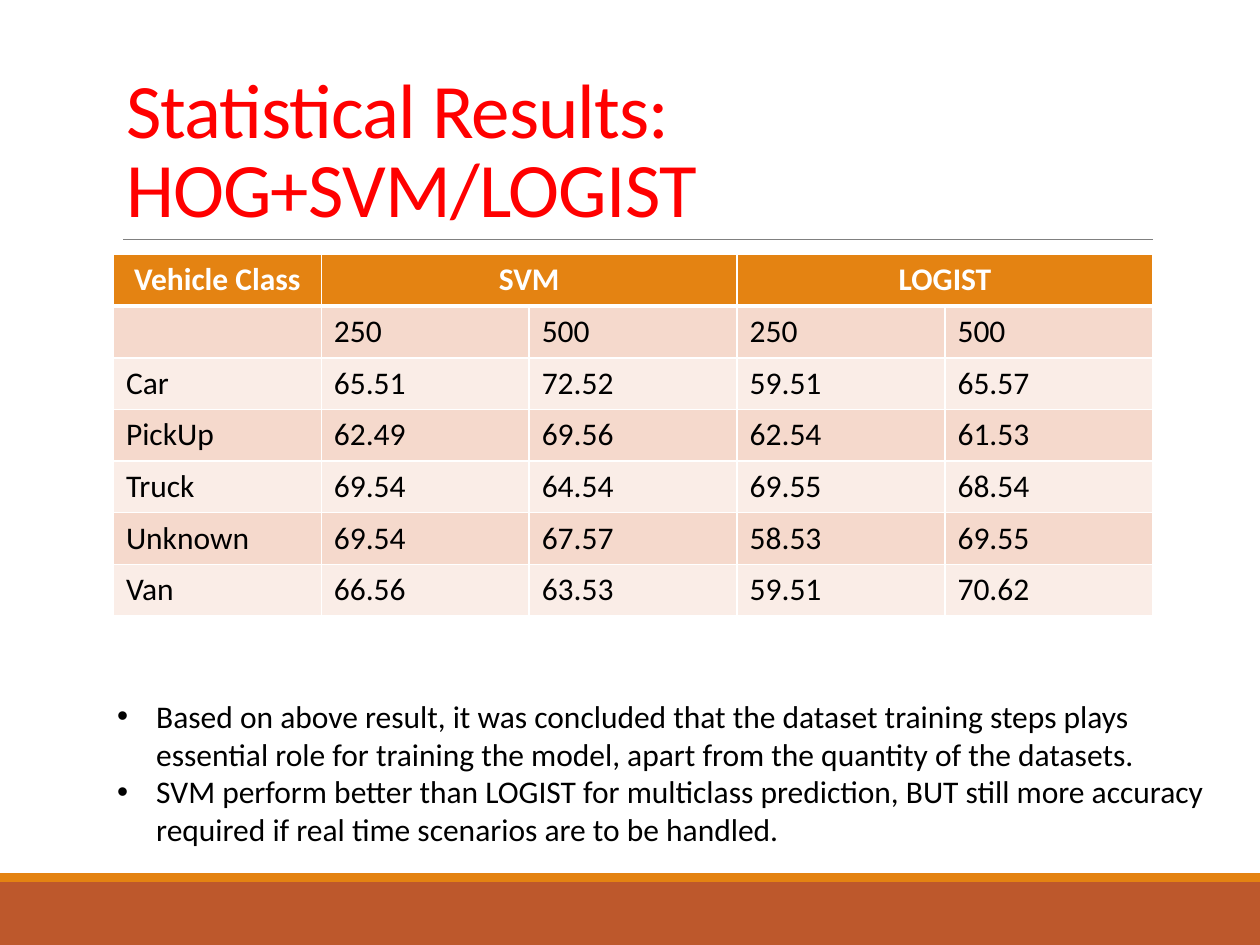
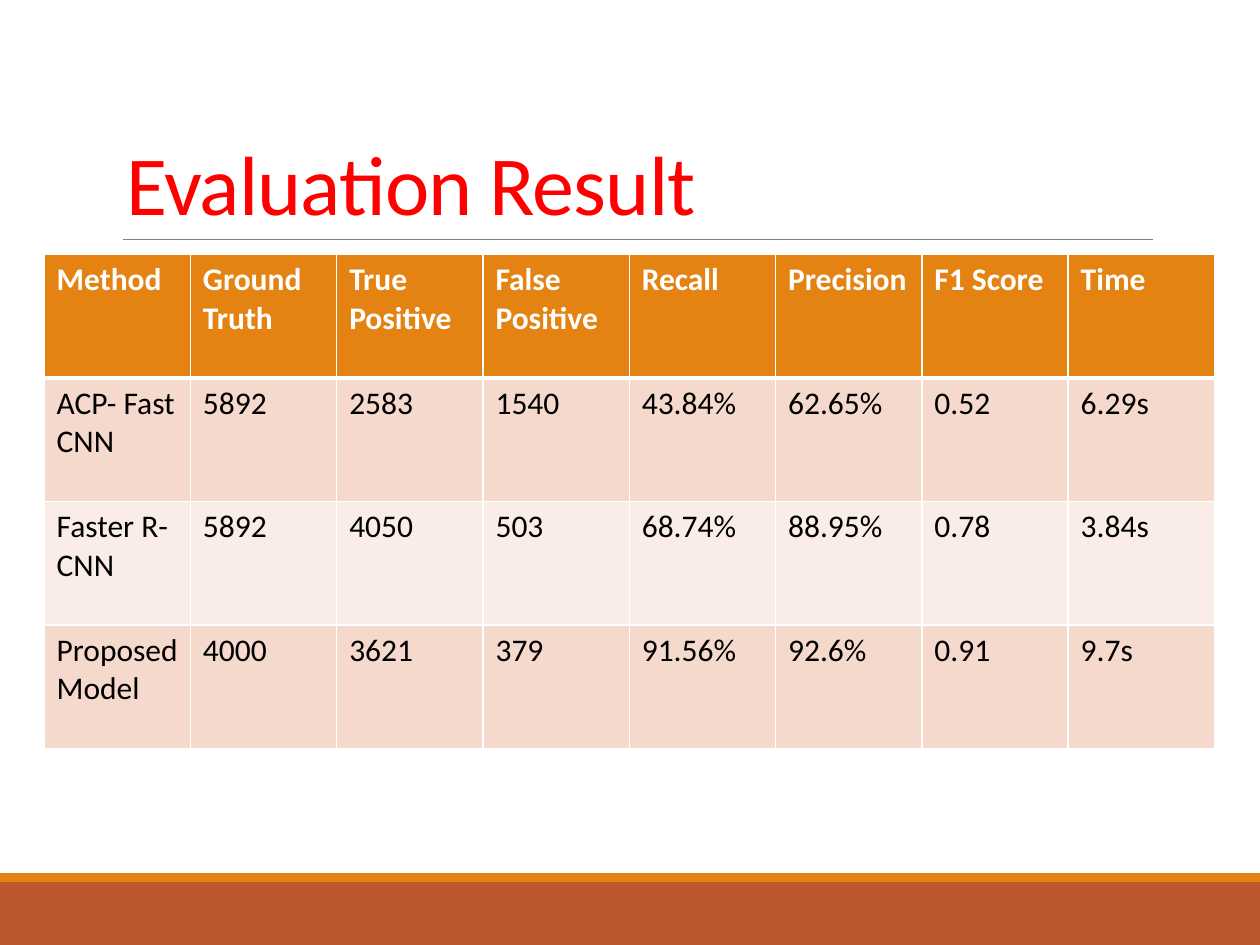
from lxml.etree import SubElement
from pptx import Presentation
from pptx.dml.color import RGBColor
from pptx.enum.shapes import MSO_CONNECTOR as Connector, MSO_SHAPE as Shape
from pptx.enum.text import MSO_ANCHOR as Anchor, MSO_AUTO_SIZE as AutoSize, PP_ALIGN as Align
from pptx.oxml.ns import qn
from pptx.util import Inches, Pt

# Shared look
FONT = "Calibri"
RUST, ORANGE, RULE_GREY, TITLE_RED = "BD582C", "E48312", "808080", "FF0000"
WHITE, BLACK = "FFFFFF", "000000"
ROW_TINTS = ("FAEDE7", "F5D9CC")
TITLE_AND_CONTENT, TITLE_ONLY = 1, 5
TABLE_TOP = 2.02

ACCURACY = [
    ["Vehicle Class", "SVM", "", "LOGIST", ""],
    ["", "250", "500", "250", "500"],
    ["Car", "65.51", "72.52", "59.51", "65.57"],
    ["PickUp", "62.49", "69.56", "62.54", "61.53"],
    ["Truck", "69.54", "64.54", "69.55", "68.54"],
    ["Unknown", "69.54", "67.57", "58.53", "69.55"],
    ["Van", "66.56", "63.53", "59.51", "70.62"],
]
EVALUATION = [
    ["Method", "Ground Truth", "True Positive", "False Positive",
     "Recall", "Precision", "F1 Score", "Time"],
    ["ACP- Fast CNN", "5892", "2583", "1540", "43.84%", "62.65%", "0.52", "6.29s"],
    ["Faster R-CNN", "5892", "4050", "503", "68.74%", "88.95%", "0.78", "3.84s"],
    ["Proposed Model", "4000", "3621", "379", "91.56%", "92.6%", "0.91", "9.7s"],
]
# \v is a line break inside a paragraph
CONCLUSIONS = [
    "Based on above result, it was concluded that the dataset training steps plays\v"
    "essential role for training the model, apart from the quantity of the datasets.",
    "SVM perform better than LOGIST for multiclass prediction, BUT still more accuracy\v"
    "required if real time scenarios are to be handled.",
]


def rgb(hex_code):
    return RGBColor.from_string(hex_code)


def format_runs(paragraph, size, color, bold=False):
    values = {"name": FONT, "size": Pt(size), "bold": bold}
    for run in paragraph.runs:
        for attribute, value in values.items():
            setattr(run.font, attribute, value)
        run.font.color.rgb = rgb(color)


def place(shape, left, top, width, height):
    box = {"left": left, "top": top, "width": width, "height": height}
    for attribute, value in box.items():
        setattr(shape, attribute, Inches(value))


def add_band(slide, top, height, color):
    band = slide.shapes.add_shape(
        Shape.RECTANGLE, 0, Inches(top), Inches(10), Inches(height))
    band.shadow.inherit = False
    band.fill.solid()
    band.fill.fore_color.rgb = rgb(color)
    band.line.fill.background()


def add_title_rule(slide):
    rule = slide.shapes.add_connector(
        Connector.STRAIGHT, Inches(0.98), Inches(1.9), Inches(9.15), Inches(1.9))
    rule.line.color.rgb = rgb(RULE_GREY)
    rule.line.width = Pt(0.5)
    SubElement(rule._element.spPr, qn("a:effectLst"))


def set_title(slide, text, size):
    title = slide.shapes.title
    place(title, 0.9, 0.31, 8.25, 1.59)
    frame = title.text_frame
    frame.text = text
    frame.auto_size = AutoSize.NONE
    frame.vertical_anchor = Anchor.BOTTOM
    heading = frame.paragraphs[0]
    heading.alignment = Align.LEFT
    heading.line_spacing = 0.85
    format_runs(heading, size, TITLE_RED)
    for run in heading.runs:
        run.font._element.set("spc", "-50")


def add_result_slide(deck, layout, title, title_size):
    slide = deck.slides.add_slide(deck.slide_layouts[layout])
    add_band(slide, 7, 0.5, RUST)
    add_band(slide, 6.93, 0.07, ORANGE)
    add_title_rule(slide)
    set_title(slide, title, title_size)
    return slide


def set_borders(cell, top, bottom):
    properties = cell._tc.get_or_add_tcPr()
    for side, points in {"L": 1, "R": 1, "T": top, "B": bottom}.items():
        edge = SubElement(properties, qn(f"a:ln{side}"), w=str(Pt(points)))
        fill = SubElement(edge, qn("a:solidFill"))
        SubElement(fill, qn("a:srgbClr"), val=WHITE)


def add_results_table(slide, rows, left, width, row_height, header_align=Align.LEFT):
    table = slide.shapes.add_table(
        len(rows), len(rows[0]), Inches(left), Inches(TABLE_TOP),
        Inches(width), Inches(row_height * len(rows))).table
    for column in table.columns:
        column.width = Inches(width / len(rows[0]))
    for r, values in enumerate(rows):
        is_header = r == 0
        for c, value in enumerate(values):
            cell = table.cell(r, c)
            # A heavier line parts the header from the data
            set_borders(cell, top=3 if r == 1 else 1, bottom=3 if is_header else 1)
            cell.fill.solid()
            cell.fill.fore_color.rgb = rgb(ORANGE if is_header else ROW_TINTS[r % 2])
            cell.text = value
            paragraph = cell.text_frame.paragraphs[0]
            paragraph.alignment = header_align if is_header else Align.LEFT
            format_runs(paragraph, 18, WHITE if is_header else BLACK, is_header)
    return table


def fill_conclusions(body, conclusions):
    place(body, 0.83, 5.48, 9.05, 1.31)
    frame = body.text_frame
    frame.auto_size = AutoSize.NONE
    frame.word_wrap = True
    frame.vertical_anchor = Anchor.TOP
    for i, conclusion in enumerate(conclusions):
        paragraph = frame.paragraphs[0] if i == 0 else frame.add_paragraph()
        paragraph.text = conclusion
        properties = paragraph._p.get_or_add_pPr()
        properties.set("marL", str(Inches(0.31)))
        properties.set("indent", str(Inches(-0.31)))
        SubElement(properties, qn("a:buFont"), typeface="Arial")
        SubElement(properties, qn("a:buChar"), char="•")
        paragraph.space_before = Pt(0)
        format_runs(paragraph, 18, BLACK)


def main():
    deck = Presentation()
    deck.slide_width, deck.slide_height = Inches(10), Inches(7.5)

    # Accuracy per vehicle class
    statistics = add_result_slide(
        deck, TITLE_AND_CONTENT, "Statistical Results:\vHOG+SVM/LOGIST", 44)
    accuracy = add_results_table(statistics, ACCURACY, 0.9, 8.25, 0.41, Align.CENTER)
    for first in (1, 3):
        accuracy.cell(0, first).merge(accuracy.cell(0, first + 1))
    fill_conclusions(statistics.placeholders[1], CONCLUSIONS)

    # Comparison of detection methods
    evaluation = add_result_slide(deck, TITLE_ONLY, "Evaluation Result", 48)
    add_results_table(evaluation, EVALUATION, 0.35, 9.29, 0.98)

    deck.save("out.pptx")


if __name__ == "__main__":
    main()
